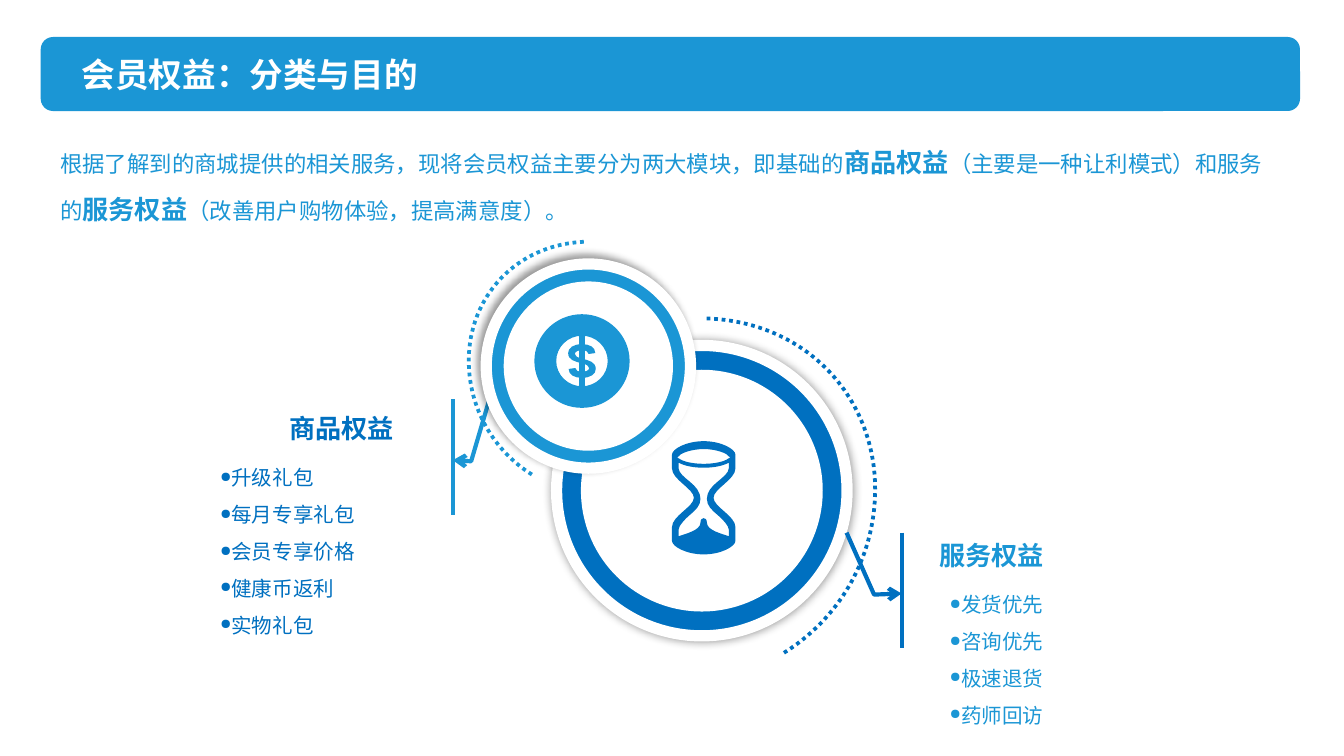
from dataclasses import dataclass

from lxml.etree import SubElement
from pptx import Presentation
from pptx.dml.color import RGBColor
from pptx.enum.dml import MSO_LINE
from pptx.enum.shapes import MSO_CONNECTOR, MSO_SHAPE
from pptx.enum.text import MSO_ANCHOR, MSO_AUTO_SIZE, PP_ALIGN
from pptx.oxml.ns import qn
from pptx.util import Cm, Pt


@dataclass(frozen=True)
class Theme:
    light: RGBColor = RGBColor(0x1B, 0x96, 0xD5)
    dark: RGBColor = RGBColor(0x00, 0x70, 0xC0)
    white: RGBColor = RGBColor(0xFF, 0xFF, 0xFF)
    latin: str = "Arial"
    cjk: str = "Noto Sans CJK SC"
    title: Pt = Pt(18)
    heading: Pt = Pt(14)
    body: Pt = Pt(12)
    item: Pt = Pt(11)


THEME = Theme()

# All outlines are chains of cubic control points.
# Half outlines of the hourglass: x from the axis (0) to the side (1), y from top (0) to base (1)
HOURGLASS = [
    [(0, 0), (.55, 0), (1, .07), (1, .12), (1, .15), (1, .2), (1, .24),
     (1, .34), (.31, .42), (.31, .5), (.31, .58), (1, .66), (1, .76),
     (1, .8), (1, .85), (1, .88), (1, .93), (.55, 1), (0, 1)],
    [(0, .07), (.4, .07), (.75, .11), (.77, .13), (.78, .14), (.9, .14), (.77, .155),
     (.65, .18), (.35, .2), (0, .2)],
    [(0, .235), (.3, .235), (.6, .22), (.79, .19), (.79, .21), (.79, .22), (.79, .24),
     (.79, .28), (.6, .32), (.43, .36), (.25, .4), (.1, .45), (.1, .51),
     (.1, .57), (.26, .61), (.43, .65), (.6, .69), (.79, .75), (.79, .78),
     (.79, .8), (.79, .82), (.79, .84), (.6, .82), (.1, .79), (.1, .72),
     (.1, .69), (.05, .68), (0, .68)],
]
# Half turns around the centre of a coin of radius 1
HALF_CIRCLE = [(1, 0), (1, .55), (.55, 1), (0, 1), (-.55, 1), (-1, .55), (-1, 0)]
HALF_LETTER = [(.28, -.17), (.28, -.3), (.15, -.36), (0, -.36),
               (-.18, -.36), (-.29, -.28), (-.29, -.17), (-.29, -.02), (-.15, .01), (0, .05),
               (.1, .08), (.15, .1), (.15, .15), (.15, .2), (.08, .23), (0, .23),
               (-.08, .23), (-.14, .2), (-.14, .15), (-.19, .16), (-.23, .16), (-.28, .17)]
# An arc that opens to the left, as shares of its box
ARC = [(.46, 1), (.78, .9), (1, .72), (1, .51), (1, .24), (.6, .01), (0, 0)]


def add_outline(slide, contours, close, curved=True):
    contours = [[(Cm(x), Cm(y)) for x, y in contour] for contour in contours]
    builder = slide.shapes.build_freeform(*contours[0][0])
    for index, contour in enumerate(contours):
        if index:
            builder.move_to(*contour[0])
        builder.add_line_segments(contour[1:], close=close)
    shape = builder.convert_to_shape()
    shape.shadow.inherit = False
    if curved:
        # Join each three straight segments into one cubic curve
        segments = list(shape.element.iter(qn("a:lnTo")))
        for start in range(0, len(segments), 3):
            first, *others = segments[start:start + 3]
            first.tag = qn("a:cubicBezTo")
            for segment in others:
                first.append(segment[0])
                segment.getparent().remove(segment)
    return shape


def fill_plain(shape, colour):
    shape.fill.solid()
    shape.fill.fore_color.rgb = colour
    shape.line.fill.background()


def add_filled(slide, kind, box, colour):
    shape = slide.shapes.add_shape(kind, *map(Cm, box))
    shape.shadow.inherit = False
    fill_plain(shape, colour)
    return shape


def set_line(shape, colour, width):
    shape.line.color.rgb = colour
    shape.line.width = Pt(width)


def add_vertical(slide, left, top, height, colour, width):
    line = slide.shapes.add_connector(MSO_CONNECTOR.STRAIGHT, *map(Cm, (left, top, left, top + height)))
    SubElement(line.element.spPr, qn("a:effectLst"))
    set_line(line, colour, width)


def set_font(font, size, colour, bold=False, name=THEME.latin):
    font.size, font.bold, font.name = size, bold, name
    font.color.rgb = colour
    SubElement(font._element, qn("a:ea")).set("typeface", THEME.cjk)


def add_text(slide, box):
    frame = slide.shapes.add_textbox(*map(Cm, box)).text_frame
    frame.word_wrap = True
    return frame


def draw_header(slide, box, text):
    left, top, width, height = box
    title = slide.shapes.title
    bar = add_filled(slide, MSO_SHAPE.ROUNDED_RECTANGLE, box, THEME.light)
    title.element.addprevious(bar.element)
    title.left, title.top = Cm(left + .52), Cm(top + .2)
    title.width, title.height = Cm(11.2), Cm(height - .4)
    frame = title.text_frame
    frame.text = text
    frame.auto_size = MSO_AUTO_SIZE.NONE
    frame.vertical_anchor = MSO_ANCHOR.MIDDLE
    paragraph = frame.paragraphs[0]
    paragraph.alignment = PP_ALIGN.LEFT
    set_font(paragraph.font, THEME.title, THEME.white, True, THEME.cjk)


def draw_intro(slide, box, parts):
    """Every second part is emphasised."""
    paragraph = add_text(slide, box).paragraphs[0]
    paragraph.line_spacing = 1.5
    for index, part in enumerate(parts):
        run = paragraph.add_run()
        run.text = part
        strong = index % 2 == 1
        set_font(run.font, THEME.heading if strong else THEME.body, THEME.light, strong, THEME.cjk)


def draw_arc(slide, box, colour, mirrored=False):
    left, top, width, height = box
    points = [(left + width * (1 - x if mirrored else x), top + height * y) for x, y in ARC]
    arc = add_outline(slide, [points], close=False)
    arc.fill.background()
    set_line(arc, colour, 2)
    arc.line.dash_style = MSO_LINE.ROUND_DOT


def draw_disc(slide, box, colour, ring, blur, distance, angle):
    left, top, size = box
    disc = add_filled(slide, MSO_SHAPE.OVAL, (left, top, size, size), colour)
    set_line(disc, THEME.white, 6)
    effects = disc.element.spPr.find(qn("a:effectLst"))
    shadow = SubElement(effects, qn("a:outerShdw"), blurRad=str(Pt(blur)),
                        dist=str(Pt(distance)), dir=str(angle * 60000), rotWithShape="0")
    shade = SubElement(shadow, qn("a:srgbClr"), val="000000")
    SubElement(shade, qn("a:alpha"), val="40000")
    inner = size - 2 * ring
    add_filled(slide, MSO_SHAPE.OVAL, (left + ring, top + ring, inner, inner), THEME.white)


def draw_pointer(slide, box, colour, reach):
    """A vertical bar, with an elbow arrow that comes in from a sideways reach."""
    left, top, height = box
    points = [(left + reach, top), (left + reach / 2, top + 1.17), (left, top + 1.15)]
    elbow = add_outline(slide, [points], close=False, curved=False)
    elbow.fill.background()
    set_line(elbow, colour, 2.25)
    SubElement(elbow.line._get_or_add_ln(), qn("a:tailEnd"), type="arrow")
    add_vertical(slide, left, top, height, colour, 2.25)


def draw_benefits(slide, box, heading, items, colour, alignment):
    left, top, width, height = box
    paragraph = add_text(slide, (left, top, width, .97)).paragraphs[0]
    paragraph.text = heading
    paragraph.alignment = alignment
    paragraph.line_spacing = 1.2
    set_font(paragraph.font, THEME.heading, colour, True)
    frame = add_text(slide, (left + .2, top + .89, width, height - .89))
    for index, item in enumerate(items):
        paragraph = frame.add_paragraph() if index else frame.paragraphs[0]
        paragraph.text = item
        paragraph.alignment = PP_ALIGN.JUSTIFY
        paragraph.line_spacing = 1.5
        properties = paragraph._p.get_or_add_pPr()
        properties.set("marL", "0")
        properties.set("indent", "0")
        SubElement(properties, qn("a:buSzPct"), val="70000")
        SubElement(properties, qn("a:buChar"), char="●")
        set_font(paragraph.font, THEME.item, colour)


def draw_hourglass(slide, box, colour):
    left, top, width, height = box
    contours = []
    for half in HOURGLASS:
        whole = half + [(-x, y) for x, y in half[-2::-1]]
        contours.append([(left + width * (1 + x) / 2, top + height * y) for x, y in whole])
    fill_plain(add_outline(slide, contours, close=True), colour)


def draw_coin(slide, box, colour):
    """A dollar coin: rim, round hole, letter and upright stroke."""
    left, top, width, height = box
    contours = []
    for half, scale in ((HALF_CIRCLE, 1), (HALF_CIRCLE, .54), (HALF_LETTER, 1)):
        whole = half + [(-x, -y) for x, y in half[1:]]
        contours.append([(left + width * (1 + x * scale) / 2, top + height * (1 + y * scale) / 2)
                         for x, y in whole])
    fill_plain(add_outline(slide, contours, close=True), colour)
    stroke = height * .54
    add_vertical(slide, left + width / 2, top + (height - stroke) / 2, stroke, colour, 3)


def main():
    presentation = Presentation()
    presentation.slide_width, presentation.slide_height = Cm(25.4), Cm(14.29)
    slide = presentation.slides.add_slide(presentation.slide_layouts[5])

    draw_header(slide, (.77, .7, 23.8, 1.4), "会员权益：分类与目的")
    # Linked discs, with the small one in front
    draw_arc(slide, (13.35, 6.02, 3.19, 6.32), THEME.dark)
    draw_disc(slide, (10.52, 6.53, 5.49), THEME.dark, .46, 5, 0, 0)
    draw_pointer(slide, (8.56, 7.55, 2.18), THEME.light, .69)
    draw_disc(slide, (9.19, 4.99, 3.86), THEME.light, .33, 4, 3, 225)
    draw_pointer(slide, (17.04, 10.07, 2.18), THEME.dark, -1.04)
    draw_arc(slide, (8.86, 4.57, 2.21, 4.4), THEME.light, mirrored=True)
    # Lists of benefits
    draw_benefits(slide, (17.5, 9.95, 4.09, 3.96), "服务权益",
                  ["发货优先", "咨询优先", "极速退货", "药师回访"], THEME.light, PP_ALIGN.LEFT)
    draw_benefits(slide, (3.71, 7.55, 3.99, 4.67), "商品权益",
                  ["升级礼包", "每月专享礼包", "会员专享价格", "健康币返利", "实物礼包"],
                  THEME.dark, PP_ALIGN.RIGHT)
    # Icons
    draw_hourglass(slide, (12.7, 8.34, 1.2, 2.14), THEME.dark)
    draw_coin(slide, (10.1, 5.94, 1.8, 1.77), THEME.light)
    draw_intro(slide, (.89, 2.34, 23.39, 2.06), [
        "根据了解到的商城提供的相关服务，现将会员权益主要分为两大模块，即基础的", "商品权益",
        "（主要是一种让利模式）和服务的", "服务权益", "（改善用户购物体验，提高满意度）。"])
    presentation.save("out.pptx")


if __name__ == "__main__":
    main()
